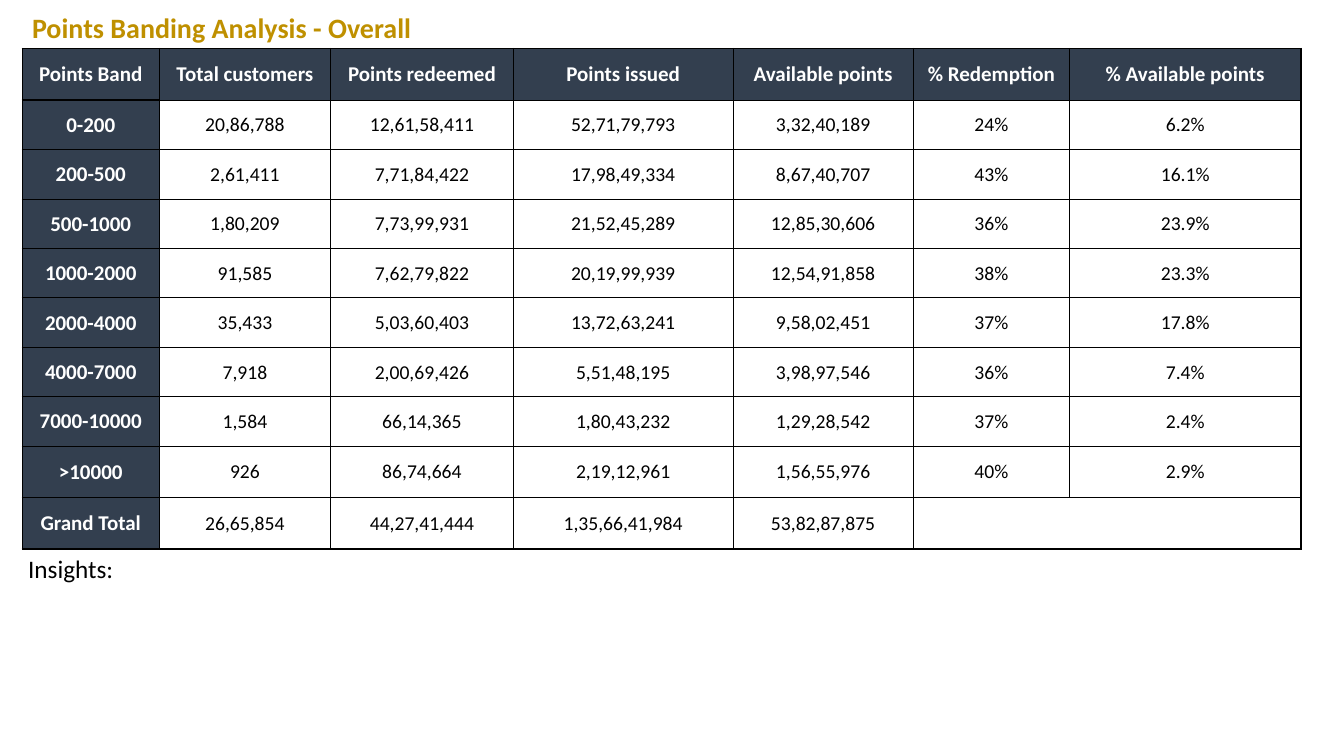
from dataclasses import dataclass

from lxml import etree
from pptx import Presentation
from pptx.dml.color import RGBColor
from pptx.enum.text import MSO_ANCHOR, PP_ALIGN
from pptx.oxml.ns import qn
from pptx.util import Pt

MIDDLE = MSO_ANCHOR.MIDDLE
CENTER = PP_ALIGN.CENTER


@dataclass(frozen=True)
class Theme:
    font: str = "Calibri"
    gold: str = "BF9000"
    navy: str = "333F4F"
    white: str = "FFFFFF"
    black: str = "000000"
    title_size: int = 20
    insights_size: int = 18
    header_size: int = 15
    value_size: int = 14
    thin: float = 0.5
    thick: float = 1


theme = Theme()

ROWS = [
    ["Points Band", "Total customers", "Points redeemed", "Points issued",
     "Available points", "% Redemption", "% Available points"],
    ["0-200", "20,86,788", "12,61,58,411", "52,71,79,793", "3,32,40,189", "24%", "6.2%"],
    ["200-500", "2,61,411", "7,71,84,422", "17,98,49,334", "8,67,40,707", "43%", "16.1%"],
    ["500-1000", "1,80,209", "7,73,99,931", "21,52,45,289", "12,85,30,606", "36%", "23.9%"],
    ["1000-2000", "91,585", "7,62,79,822", "20,19,99,939", "12,54,91,858", "38%", "23.3%"],
    ["2000-4000", "35,433", "5,03,60,403", "13,72,63,241", "9,58,02,451", "37%", "17.8%"],
    ["4000-7000", "7,918", "2,00,69,426", "5,51,48,195", "3,98,97,546", "36%", "7.4%"],
    ["7000-10000", "1,584", "66,14,365", "1,80,43,232", "1,29,28,542", "37%", "2.4%"],
    [">10000", "926", "86,74,664", "2,19,12,961", "1,56,55,976", "40%", "2.9%"],
    ["Grand Total", "26,65,854", "44,27,41,444", "1,35,66,41,984", "53,82,87,875", "", ""],
]
COLUMN_WIDTHS = [97.9, 122.4, 130.5, 157, 128.7, 111.6, 165.4]
ROW_HEIGHTS = [36.8] + [35.3] * 7 + [36.8] * 2
TOTAL_ROW = len(ROWS) - 1


def write(para, text, size, color, bold=False):
    para.text = text
    para.font.name = theme.font
    para.font.size = Pt(size)
    para.font.bold = bold
    para.font.color.rgb = RGBColor.from_string(color)


def add_border(cell, side, thick):
    """Draw one side of a cell; side is L, R, T or B."""
    width = Pt(theme.thick if thick else theme.thin)
    line = etree.SubElement(cell._tc.get_or_add_tcPr(), qn(f"a:ln{side}"), w=str(width))
    fill = etree.SubElement(line, qn("a:solidFill"))
    etree.SubElement(fill, qn("a:srgbClr"), val=theme.black)


deck = Presentation()
deck.slide_width, deck.slide_height = Pt(960), Pt(540)
page = deck.slides.add_slide(deck.slide_layouts[6])

captions = [
    ("Points Banding Analysis - Overall", 15.8, 3.6, 733.7, 31.5,
     theme.title_size, theme.gold, True),
    ("Insights:", 13, 391.7, 934.6, 29.1, theme.insights_size, theme.black, False),
]
for text, left, top, width, height, size, color, bold in captions:
    box = page.shapes.add_textbox(Pt(left), Pt(top), Pt(width), Pt(height))
    box.text_frame.word_wrap = True
    write(box.text_frame.paragraphs[0], text, size, color, bold)

table = page.shapes.add_table(
    len(ROWS), len(COLUMN_WIDTHS), Pt(15.9), Pt(34.7),
    Pt(sum(COLUMN_WIDTHS)), Pt(sum(ROW_HEIGHTS))).table
table.horz_banding = False
for column, width in zip(table.columns, COLUMN_WIDTHS):
    column.width = Pt(width)
for row, height in zip(table.rows, ROW_HEIGHTS):
    row.height = Pt(height)
table.cell(TOTAL_ROW, 5).merge(table.cell(TOTAL_ROW, 6))

for r, values in enumerate(ROWS):
    # Grid lines are numbered from the left and top edges of the table.
    thick_verticals = {0, len(COLUMN_WIDTHS)}
    if r == 0:
        thick_verticals |= {1}
    elif r == TOTAL_ROW:
        thick_verticals |= {1, 5, 6}
    for c, value in enumerate(values):
        thick_horizontals = {0, TOTAL_ROW, len(ROWS)} | ({1} if c == 0 else set())
        cell = table.cell(r, c)
        cell.vertical_anchor = MIDDLE
        cell.margin_left = cell.margin_right = cell.margin_top = Pt(0.7)
        cell.margin_bottom = 0
        add_border(cell, "L", c in thick_verticals)
        add_border(cell, "R", c + 1 in thick_verticals)
        add_border(cell, "T", r in thick_horizontals)
        add_border(cell, "B", r + 1 in thick_horizontals)

        is_header = r == 0 or c == 0
        if is_header:
            cell.fill.solid()
            cell.fill.fore_color.rgb = RGBColor.from_string(theme.navy)
        else:
            cell.fill.background()
        if value:
            para = cell.text_frame.paragraphs[0]
            para.alignment = CENTER
            size = theme.header_size if is_header else theme.value_size
            color = theme.white if is_header else theme.black
            write(para, value, size, color, is_header)

deck.save("out.pptx")
